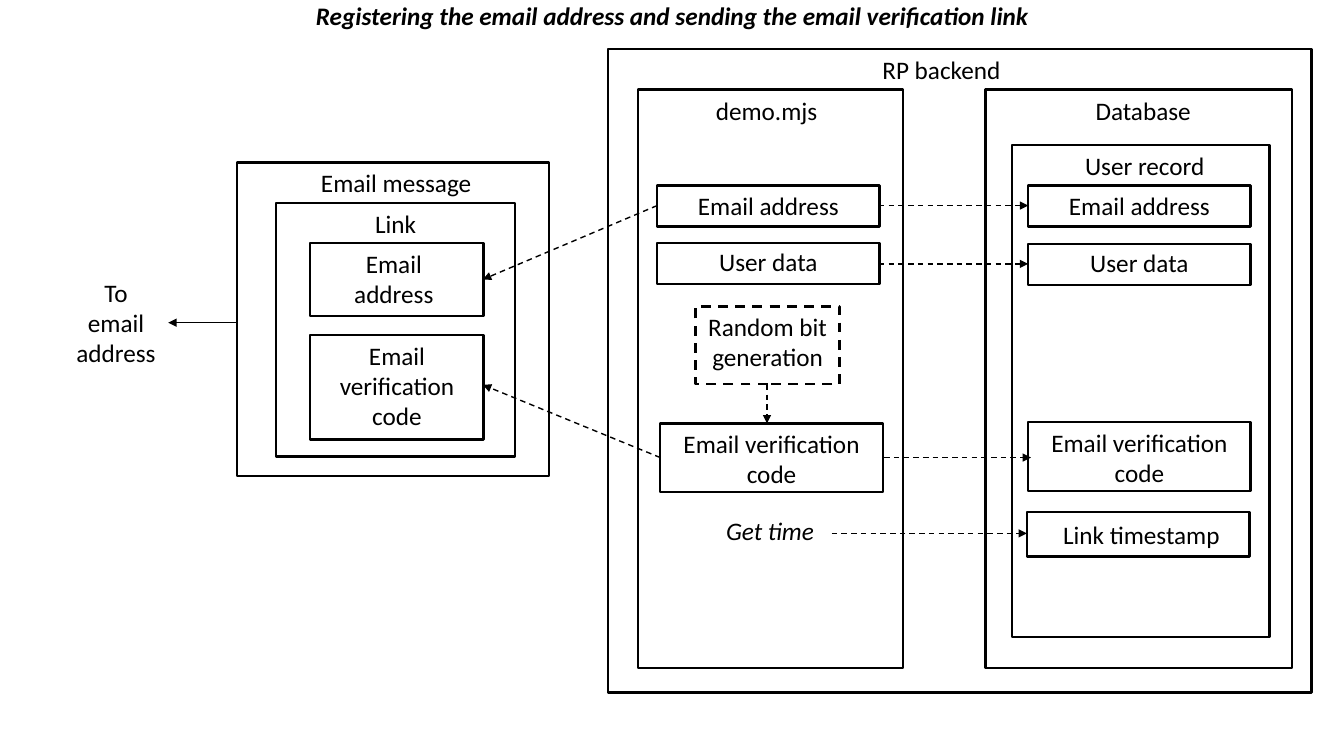
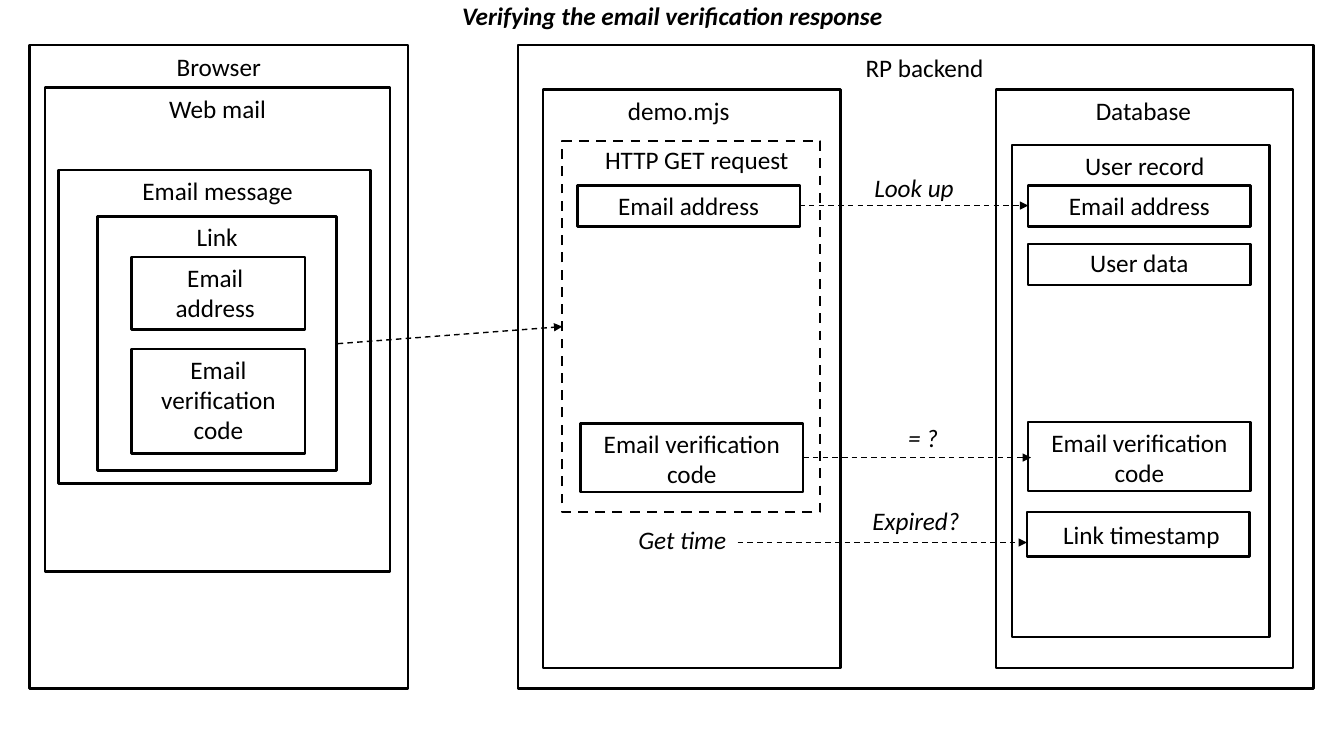
from dataclasses import dataclass

from lxml import etree
from pptx import Presentation
from pptx.dml.color import RGBColor
from pptx.enum.dml import MSO_LINE
from pptx.enum.shapes import MSO_CONNECTOR, MSO_SHAPE
from pptx.enum.text import MSO_ANCHOR, MSO_AUTO_SIZE, PP_ALIGN
from pptx.oxml.ns import qn
from pptx.util import Cm, Pt

RECTANGLE = MSO_SHAPE.RECTANGLE
STRAIGHT = MSO_CONNECTOR.STRAIGHT
DASH = MSO_LINE.DASH
TOP = MSO_ANCHOR.TOP
MIDDLE = MSO_ANCHOR.MIDDLE
CENTER = PP_ALIGN.CENTER
NO_AUTOFIT = MSO_AUTO_SIZE.NONE

BLACK = "000000"
FONT = "Calibri"
TEXT_SIZE = 18
BOX_LINE = 1.75
ARROW_LINE = 1
SIDE_INSET = 0.25
TOP_INSET = 0.13
TITLE_ONLY = 5

FIELD_WIDTH = 5.61
FIELD_HEIGHT = 1.04
CODE_HEIGHT = 1.73
COLUMN_TOP = 2.26
COLUMN_HEIGHT = 14.58
OUTER_HEIGHT = 16.21
RECORD_LEFT = 25.91
ADDRESS_TOP = 4.67
CODE_TOP = 10.67
ADDRESS_ARROW = 5.18
USER_DATA_ARROW = 6.65
CODE_ARROW = 11.53
CODE = "Email verification code"


@dataclass(frozen=True)
class Box:
    left: float
    top: float
    width: float
    height: float
    lines: tuple[str, ...]
    shift: float = 0
    drop: float = 0
    dashed: bool = False


@dataclass(frozen=True)
class Caption:
    left: float
    top: float
    lines: tuple[str, ...]
    width: float = 4.37
    height: float = 1.02
    italic: bool = True


@dataclass(frozen=True)
class Arrow:
    start: tuple[float, float]
    end: tuple[float, float]
    dashed: bool = True


@dataclass(frozen=True)
class Diagram:
    title: str
    boxes: list[Box]
    captions: list[Caption]
    arrows: list[Arrow]


def color(value: str) -> RGBColor:
    return RGBColor.from_string(value)


def write_lines(text_frame, lines: tuple[str, ...], bold: bool = False, italic: bool = False) -> None:
    text_frame.word_wrap = True
    for index, line in enumerate(lines):
        paragraph = text_frame.add_paragraph() if index else text_frame.paragraphs[0]
        paragraph.alignment = CENTER
        run = paragraph.add_run()
        run.text = line
        run.font.name = FONT
        run.font.size = Pt(TEXT_SIZE)
        run.font.bold = bold
        run.font.italic = italic
        run.font.color.rgb = color(BLACK)


def set_line(line, width: float, dashed: bool) -> None:
    line.color.rgb = color(BLACK)
    line.width = Pt(width)
    if dashed:
        line.dash_style = DASH


def add_title(slide, text: str) -> None:
    title = slide.shapes.title
    title.left, title.top = Cm(2.34), Cm(-0.23)
    title.width, title.height = Cm(29.21), Cm(1.35)
    text_frame = title.text_frame
    text_frame.auto_size = NO_AUTOFIT
    text_frame.vertical_anchor = MIDDLE
    write_lines(text_frame, (text,), bold=True, italic=True)
    text_frame.paragraphs[0].line_spacing = 0.9


def add_box(slide, box: Box) -> None:
    shape = slide.shapes.add_shape(
        RECTANGLE, Cm(box.left), Cm(box.top), Cm(box.width), Cm(box.height)
    )
    shape.shadow.inherit = False
    shape.fill.background()
    set_line(shape.line, BOX_LINE, box.dashed)
    text_frame = shape.text_frame
    text_frame.vertical_anchor = TOP
    text_frame.margin_left = Cm(SIDE_INSET + 2 * max(box.shift, 0))
    text_frame.margin_right = Cm(SIDE_INSET + 2 * max(-box.shift, 0))
    text_frame.margin_top = Cm(TOP_INSET + box.drop)
    text_frame.margin_bottom = Cm(0)
    write_lines(text_frame, box.lines)


def add_caption(slide, caption: Caption) -> None:
    shape = slide.shapes.add_textbox(
        Cm(caption.left), Cm(caption.top), Cm(caption.width), Cm(caption.height)
    )
    write_lines(shape.text_frame, caption.lines, italic=caption.italic)


def add_arrow(slide, arrow: Arrow) -> None:
    connector = slide.shapes.add_connector(
        STRAIGHT, *(Cm(value) for value in arrow.start + arrow.end)
    )
    set_line(connector.line, ARROW_LINE, arrow.dashed)
    properties = connector.element.spPr
    etree.SubElement(properties.find(qn("a:ln")), qn("a:tailEnd"), type="triangle")
    etree.SubElement(properties, qn("a:effectLst"))


def field(left: float, top: float, text: str, drop: float = 0) -> Box:
    return Box(left, top, FIELD_WIDTH, FIELD_HEIGHT, (text,), drop=drop)


def code_field(left: float, top: float) -> Box:
    return Box(left, top, FIELD_WIDTH, CODE_HEIGHT, (CODE,))


def column(left: float, width: float, text: str, shift: float) -> Box:
    return Box(left, COLUMN_TOP, width, COLUMN_HEIGHT, (text,), shift)


def user_record() -> list[Box]:
    return [
        Box(25.5, 3.66, 6.5, 12.4, ("User record",), shift=0.1),
        field(RECORD_LEFT, ADDRESS_TOP, "Email address"),
        field(RECORD_LEFT, 6.15, "User data", drop=-0.05),
        code_field(RECORD_LEFT, 10.64),
        Box(25.88, 12.9, FIELD_WIDTH, 1.12, ("Link timestamp",), shift=0.08, drop=0.05),
    ]


def email_message(left: float, top: float, link_top: float) -> list[Box]:
    return [
        Box(left, top, 7.87, 7.9, ("Email message",), shift=0.08),
        Box(left + 0.99, link_top, 6.02, 6.4, ("Link",)),
        Box(left + 1.85, link_top + 1.02, 4.37, 1.83, ("Email", "address"), shift=-0.08),
        Box(left + 1.85, link_top + 3.33, 4.37, 2.64, (CODE,)),
    ]


def level_arrow(start: float, end: float, height: float) -> Arrow:
    return Arrow((start, height), (end, height))


DIAGRAMS = [
    Diagram(
        "Registering the email address and sending the email verification link",
        [
            Box(15.32, 1.24, 17.73, OUTER_HEIGHT, ("RP backend",), shift=-0.46),
            column(16.08, 6.68, "demo.mjs", -0.1),
            column(24.84, 7.72, "Database", 0.11),
            *user_record(),
            *email_message(5.97, 4.09, 5.11),
            field(16.56, ADDRESS_TOP, "Email address"),
            field(16.56, 6.12, "User data", drop=-0.05),
            Box(17.53, 7.72, 3.63, 1.96, ("Random bit generation",), dashed=True),
            code_field(16.64, CODE_TOP),
        ],
        [
            Caption(1.07, 6.86, ("To", "email", "address"), 3.71, 2.57, italic=False),
            Caption(17.22, 12.85, ("Get time",)),
        ],
        [
            level_arrow(22.15, RECORD_LEFT, ADDRESS_ARROW),
            level_arrow(22.15, RECORD_LEFT, USER_DATA_ARROW),
            level_arrow(22.28, 25.98, CODE_ARROW),
            level_arrow(20.96, 25.88, 13.44),
            Arrow((19.33, 9.7), (19.33, CODE_TOP)),
            Arrow((16.56, ADDRESS_ARROW), (12.17, 7.04)),
            Arrow((16.64, CODE_ARROW), (12.17, 9.7)),
            Arrow((5.97, 8.13), (4.24, 8.13), dashed=False),
        ],
    ),
    Diagram(
        "Verifying the email verification response",
        [
            Box(0.74, 1.14, 9.55, OUTER_HEIGHT, ("Browser",), drop=0.03),
            Box(1.14, 2.21, 8.69, 12.19, ("Web mail",)),
            *email_message(1.47, 4.29, 5.46),
            Box(13.06, 1.14, 20.04, OUTER_HEIGHT, ("RP backend",), shift=0.22, drop=0.05),
            column(13.69, 7.49, "demo.mjs", -0.33),
            column(25.1, 7.49, "Database", -0.03),
            *user_record(),
            Box(14.17, 3.56, 6.5, 9.35, ("HTTP GET request",), 0.14, -0.05, dashed=True),
            field(14.55, ADDRESS_TOP, "Email address"),
            code_field(14.63, CODE_TOP),
        ],
        [
            Caption(20.85, 4.22, ("Look up",)),
            Caption(21.08, 10.52, ("= ?",)),
            Caption(20.9, 12.62, ("Expired?",)),
            Caption(15.01, 13.08, ("Get time",)),
        ],
        [
            level_arrow(20.14, RECORD_LEFT, ADDRESS_ARROW),
            level_arrow(20.24, 25.98, CODE_ARROW),
            level_arrow(18.59, 25.88, 13.67),
            Arrow((8.51, 8.66), (14.17, 8.23)),
        ],
    ),
]


def add_diagram(presentation, diagram: Diagram) -> None:
    slide = presentation.slides.add_slide(presentation.slide_layouts[TITLE_ONLY])
    add_title(slide, diagram.title)
    for box in diagram.boxes:
        add_box(slide, box)
    for caption in diagram.captions:
        add_caption(slide, caption)
    for arrow in diagram.arrows:
        add_arrow(slide, arrow)


def main() -> None:
    presentation = Presentation()
    presentation.slide_width = Cm(33.87)
    presentation.slide_height = Cm(19.05)
    for diagram in DIAGRAMS:
        add_diagram(presentation, diagram)
    presentation.save("out.pptx")


if __name__ == "__main__":
    main()
